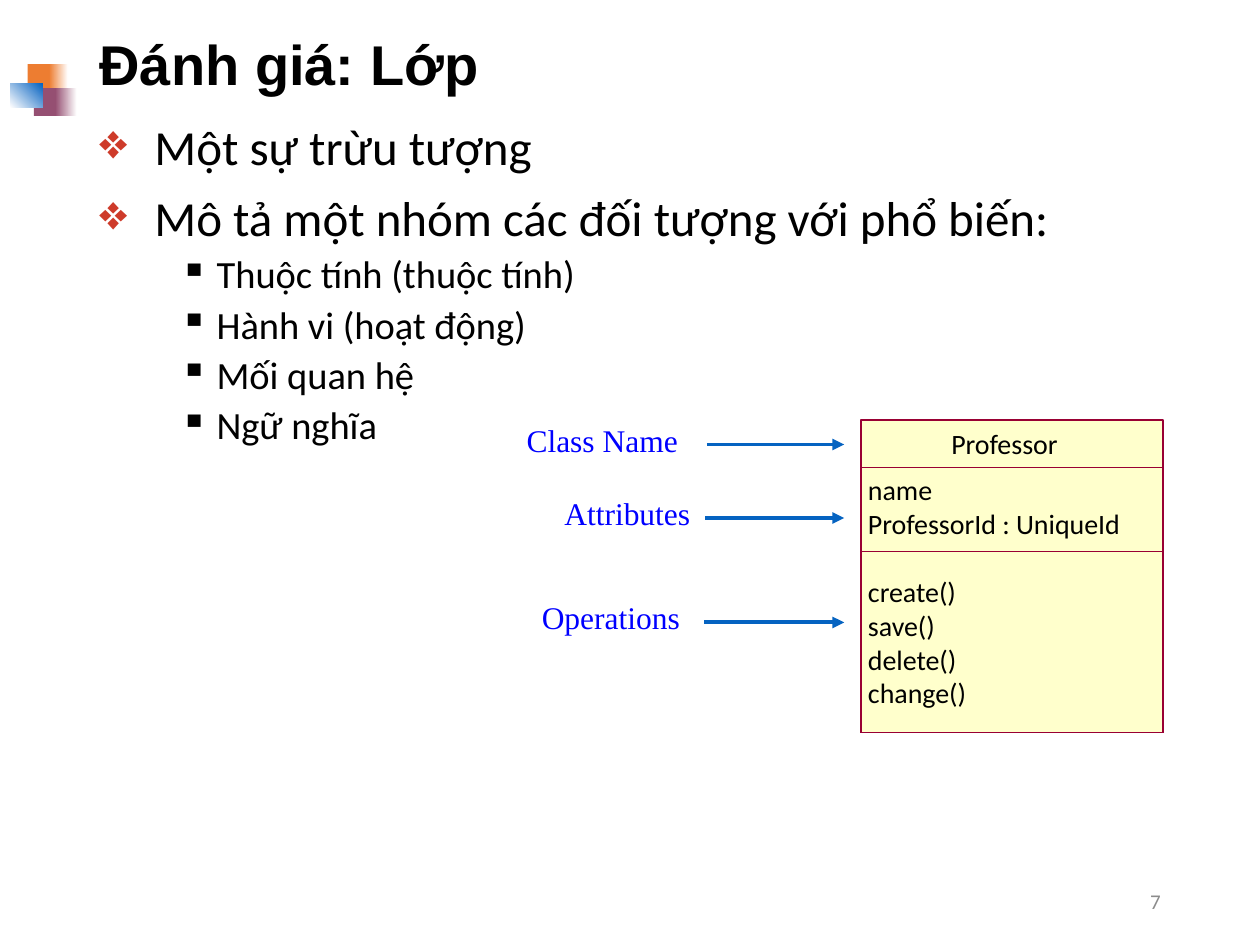
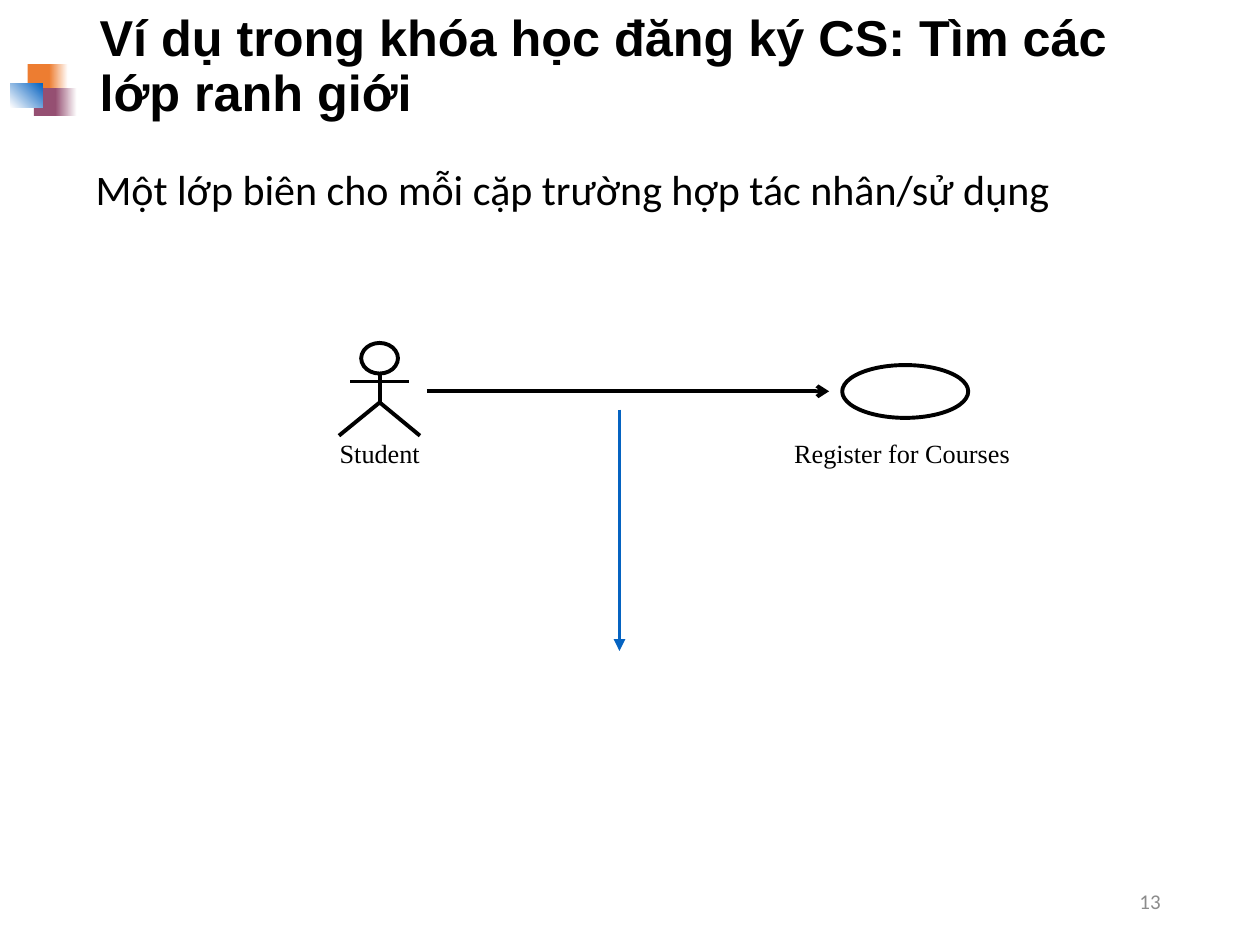
from dataclasses import dataclass
from lxml import etree
from pptx import Presentation
from pptx.dml.color import RGBColor
from pptx.enum import shapes as es, text as et
from pptx.oxml import ns
from pptx.util import Pt


@dataclass(frozen=True)
class Theme:
    black: str = "000000"
    white: str = "FFFFFF"
    orange: str = "ED7D31"
    plum: str = "954F72"
    blue: str = "0563C1"
    label: str = "0000FF"
    bullet: str = "CE3B2A"
    cream: str = "FFFFCC"
    wine: str = "990033"
    gray: str = "8C8C8C"
    head: str = "Arial"
    body: str = "Calibri"
    serif: str = "Times New Roman"
    title: float = 32
    small: float = 28.8
    main: float = 28
    lead: float = 24
    sub: float = 22
    tag: float = 18
    code: float = 16
    note: float = 15
    page: float = 12
    stroke: float = 2.25


T = Theme()
ALIGN = et.PP_ALIGN
RECT, OVAL = es.MSO_SHAPE.RECTANGLE, es.MSO_SHAPE.OVAL


def rgb(color):
    return RGBColor.from_string(color)


def style(para, size, font=T.body, color=T.black, bold=False):
    for run in para.runs:
        run.font.size = Pt(size)
        run.font.name = font
        run.font.bold = bold
        run.font.color.rgb = rgb(color)


def child(node, tag, **attrs):
    return etree.SubElement(node, ns.qn(tag), attrs)


def write(group, at, words, size, font=T.body, color=T.black,
          align=ALIGN.LEFT, inset=(7.2, 3.6), wrap=True, middle=False):
    box = group.add_textbox(*map(Pt, at))
    frame = box.text_frame
    frame.word_wrap = wrap
    frame.margin_left = frame.margin_right = Pt(inset[0])
    frame.margin_top = frame.margin_bottom = Pt(inset[1])
    if middle:
        frame.vertical_anchor = et.MSO_ANCHOR.MIDDLE
    frame.text = words
    para = frame.paragraphs[0]
    para.alignment = align
    style(para, size, font, color)


def shape(group, kind, at, fill=None, line=None, width=0, fade=None, angle=0):
    item = group.add_shape(kind, *map(Pt, at))
    paint(item, fill, line, width)
    if fade:
        item.fill.gradient()
        item.fill.gradient_angle = angle
        for stop, color in zip(item.fill.gradient_stops, fade):
            stop.color.rgb = rgb(color)


def paint(item, fill=None, line=None, width=0):
    item.shadow.inherit = False
    if fill:
        item.fill.solid()
        item.fill.fore_color.rgb = rgb(fill)
    else:
        item.fill.background()
    if line:
        item.line.color.rgb = rgb(line)
        item.line.width = Pt(width)
    else:
        item.line.fill.background()


def link(group, start, end, color=T.black, tip=None):
    wire = group.add_connector(es.MSO_CONNECTOR.STRAIGHT,
                               *map(Pt, (*start, *end)))
    wire.line.color.rgb = rgb(color)
    wire.line.width = Pt(T.stroke)
    if tip:
        child(wire.line._get_or_add_ln(), "a:tailEnd", type=tip)
    child(wire._element.spPr, "a:effectLst")


def emblem(group):
    shape(group, RECT, (15.8, 36.7, 14.4, 15.8), T.orange)
    shape(group, RECT, (28.1, 36.7, 10.8, 15.8), fade=(T.orange, T.white))
    shape(group, RECT, (19.4, 50.4, 13.7, 15.8), T.plum)
    shape(group, RECT, (31.7, 50.4, 12.2, 15.8), fade=(T.plum, T.white))
    shape(group, RECT, (5.8, 47.5, 18.7, 13.7),
          fade=(T.white, T.blue), angle=45)


def start(deck, words, number, size=T.title):
    slide = deck.slides.add_slide(deck.slide_layouts[5])
    emblem(slide.shapes.add_group_shape().shapes)
    title = slide.shapes.title
    title.left, title.top, title.width, title.height = map(
        Pt, (49.7, 9.4, 620.6, 58.3))
    frame = title.text_frame
    frame.text = words
    frame.word_wrap = True
    frame.auto_size = et.MSO_AUTO_SIZE.NONE
    frame.vertical_anchor = et.MSO_ANCHOR.MIDDLE
    para = frame.paragraphs[0]
    para.alignment = ALIGN.LEFT
    para.line_spacing = 0.9
    style(para, size, T.head, bold=True)
    write(slide.shapes, (508.3, 500.4, 162, 28.8), str(number), T.page,
          color=T.gray, align=ALIGN.RIGHT, middle=True)
    return slide.shapes


def outline(group, at, items):
    looks = ((T.main, 10, 31.5, -31.5, "❖", T.bullet),
             (T.sub, 5, 67, -21, "▪", T.black))
    frame = group.add_textbox(*map(Pt, at)).text_frame
    frame.word_wrap = True
    frame.text = "\n".join(words for _, words in items)
    for para, (level, _) in zip(frame.paragraphs, items):
        size, gap, left, hang, mark, color = looks[level]
        para.level = level
        para.line_spacing = 0.9
        para.space_before = Pt(gap)
        style(para, size)
        props = para._p.get_or_add_pPr()
        props.set("marL", str(Pt(left)))
        props.set("indent", str(Pt(hang)))
        child(child(props, "a:buClr"), "a:srgbClr", val=color)
        child(props, "a:buChar", char=mark)


def review(deck):
    group = start(deck, "Đánh giá: Lớp", 7)
    outline(group, (49.7, 67, 620.6, 407.5), (
        (0, "Một sự trừu tượng"),
        (0, "Mô tả một nhóm các đối tượng với phổ biến:"),
        (1, "Thuộc tính (thuộc tính)"),
        (1, "Hành vi (hoạt động)"),
        (1, "Mối quan hệ"),
        (1, "Ngữ nghĩa")))

    for words, left, tail, mid in (("Class Name", 292.3, 404, 254),
                                   ("Attributes", 313.9, 403, 296),
                                   ("Operations", 301, 402.3, 355.7)):
        write(group, (left, mid - 18, 409 - left, 30.2), words, T.tag,
              T.serif, T.label, inset=(8.6, 4.3))
        link(group, (tail, mid), (482.4, mid), T.blue, "triangle")

    base = 418.6
    for top, fill in ((240, T.cream), (267, None), (315, None)):
        shape(group, RECT, (492, top, 172.6, base - top), fill, T.wine)
    step = 19.3
    for left, top, lines in (
            (543.6, 244, ("Professor",)),
            (496, 270, ("name", "ProfessorId : UniqueId")),
            (496, 328.3, ("create()", "save()", "delete()", "change()"))):
        for row, words in enumerate(lines):
            write(group, (left, top + row * step, 160, 23), words, T.code,
                  inset=(0, 0), wrap=False)


def actor(group):
    shape(group, OVAL, (206.4, 196, 21, 17.5), line=T.black, width=T.stroke)
    link(group, (217, 213.5), (217, 230))
    link(group, (200.2, 218), (233.8, 218))
    pen = group.build_freeform(Pt(193.7), Pt(249))
    pen.add_line_segments([(Pt(217), Pt(230)), (Pt(240), Pt(249))],
                          close=False)
    paint(pen.convert_to_shape(), line=T.black, width=T.stroke)
    caption(group, "Student", 217)


def action(group):
    shape(group, OVAL, (481.3, 208.6, 72, 30.2), line=T.black, width=T.stroke)
    caption(group, "Register for Courses", 515.5)


def caption(group, words, mid):
    write(group, (mid - 95, 246.2, 190, 25.2), words, T.note, T.serif,
          align=ALIGN.CENTER)


def example(deck):
    group = start(
        deck, "Ví dụ trong khóa học đăng ký CS: Tìm các lớp ranh giới",
        13, T.small)
    actor(group.add_group_shape().shapes)
    action(group.add_group_shape().shapes)
    link(group, (244, 223.6), (473.8, 223.6), tip="arrow")
    link(group, (354, 234), (354, 372), T.blue, "triangle")
    write(group, (47.5, 90, 622.8, 36),
          "Một lớp biên cho mỗi cặp trường hợp tác nhân/sử dụng", T.lead)


def main():
    deck = Presentation()
    deck.slide_width, deck.slide_height = Pt(720), Pt(540)
    review(deck)
    example(deck)
    deck.save("out.pptx")


main()
